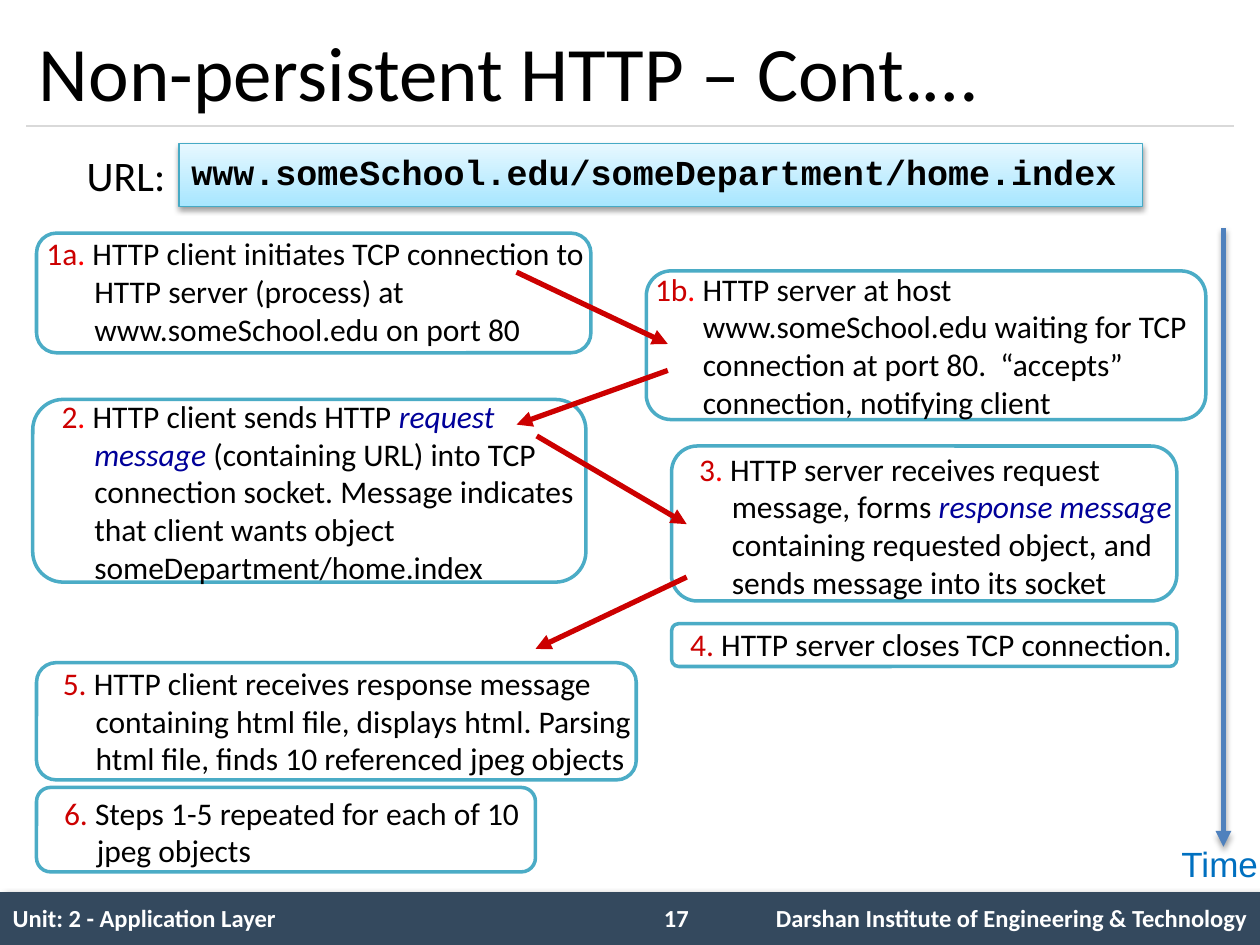
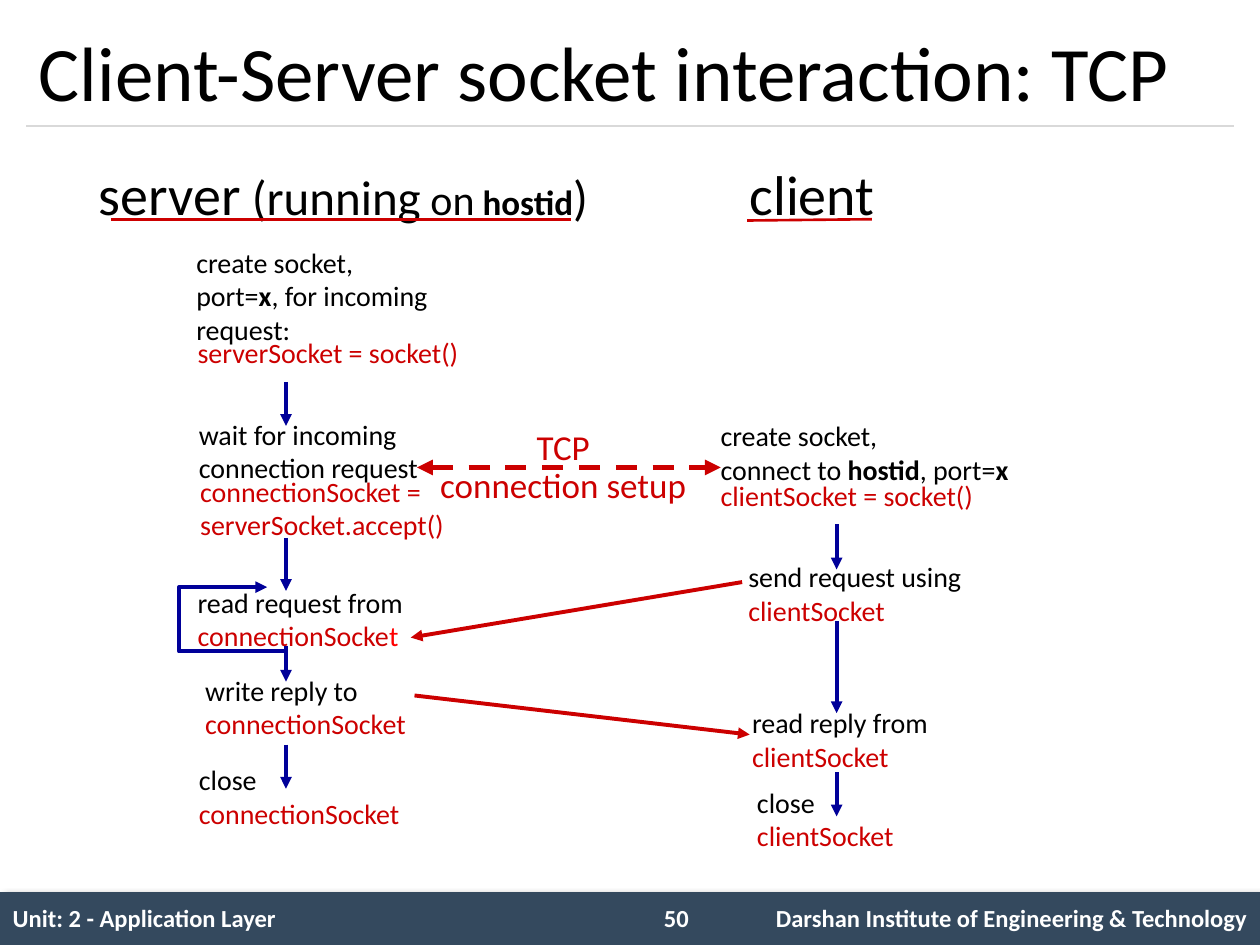
from dataclasses import dataclass

from lxml.etree import SubElement
from pptx import Presentation
from pptx.dml.color import RGBColor
from pptx.enum.dml import MSO_LINE
from pptx.enum.shapes import MSO_CONNECTOR, MSO_SHAPE
from pptx.enum.text import MSO_ANCHOR, PP_ALIGN
from pptx.oxml.ns import qn
from pptx.util import Inches, Pt


@dataclass(frozen=True)
class Theme:
    font: str = "Calibri"
    code: str = "Courier New"
    sans: str = "Arial"
    black: str = "000000"
    white: str = "FFFFFF"
    band: str = "34495E"
    rule: str = "D9D9D9"
    teal: str = "4BACC6"
    edge: str = "46AAC5"
    deep: str = "A7E6FF"
    pale: str = "E7F8FF"
    red: str = "CC0000"
    hot: str = "FF0000"
    navy: str = "000099"
    blue: str = "4F81BD"
    sky: str = "0070C0"
    title: int = 44
    head: int = 32
    mid: int = 28
    url: int = 24
    large: int = 20
    step: int = 18
    node: int = 16
    foot: int = 14


T = Theme()
NO_GRID = "{2D5ABB26-0587-4C30-8999-92F81FD0307C}"
RED = {"color": T.red}
BOLD = {"bold": True}
TERM = {"color": T.navy, "italic": True}


def inch(nums):
    return [Inches(n) for n in nums]


def tint(name):
    return RGBColor.from_string(name)


def style(font, size=None, color=None, face=None, bold=None, italic=None):
    if size:
        font.size = Pt(size)
    if color:
        font.color.rgb = tint(color)
    if face:
        font.name = face
    if bold is not None:
        font.bold = bold
    if italic is not None:
        font.italic = italic


def write(host, *paras, align=PP_ALIGN.LEFT, space=None, left=0, hang=0, **look):
    base = {"size": T.node, "color": T.black, "face": T.font} | look
    frame = host.text_frame
    for i, runs in enumerate(paras):
        para = frame.add_paragraph() if i else frame.paragraphs[0]
        para.alignment = align
        if space:
            para.line_spacing = space
        if left:
            props = para._p.get_or_add_pPr()
            props.set("marL", str(Inches(left)))
            props.set("indent", str(Inches(-hang)))
        for part in [runs] if isinstance(runs, (str, tuple)) else runs:
            text, extra = (part, {}) if isinstance(part, str) else part
            run = para.add_run()
            run.text = text
            style(run.font, **(base | extra))


def label(slide, area, *paras, anchor=MSO_ANCHOR.TOP, **look):
    host = slide.shapes.add_textbox(*inch(area))
    host.text_frame.word_wrap = True
    host.text_frame.vertical_anchor = anchor
    write(host, *paras, **look)


def shade(item, alpha=0, blur=0, dist=0, angle=0):
    props = item.element.spPr
    for old in props.findall(qn("a:effectLst")):
        props.remove(old)
    effect = SubElement(props, qn("a:effectLst"))
    if alpha:
        drop = SubElement(effect, qn("a:outerShdw"), blurRad=str(Pt(blur)),
                          dist=str(Pt(dist)), dir=str(angle * 60000), rotWithShape="0")
        color = SubElement(drop, qn("a:srgbClr"), val=T.black)
        SubElement(color, qn("a:alpha"), val=str(alpha * 1000))


def panel(slide, area, kind, fill, edge=None, width=1):
    item = slide.shapes.add_shape(kind, *inch(area))
    item.fill.solid()
    item.fill.fore_color.rgb = tint(fill)
    if edge:
        item.line.color.rgb = tint(edge)
        item.line.width = Pt(width)
    else:
        item.line.fill.background()
    item.shadow.inherit = False
    return item


def stroke(item, color, width, tips=(), dash=None):
    item.line.color.rgb = tint(color)
    item.line.width = Pt(width)
    if dash:
        item.line.dash_style = dash
    for tip in tips:
        SubElement(item.line._get_or_add_ln(), qn(f"a:{tip}"), type="triangle")
    shade(item)


def line(slide, ends, color, width, tips=("tailEnd",), dash=None):
    item = slide.shapes.add_connector(MSO_CONNECTOR.STRAIGHT, *inch(ends))
    stroke(item, color, width, tips, dash)
    return item


def footer(slide, box, page):
    x, y, w, h = box
    shade(panel(slide, box, MSO_SHAPE.RECTANGLE, T.band), 40, 4, 3, 45)
    frame = slide.shapes.add_table(1, 3, *inch((x, y, w, h + 0.01)))
    next(frame.element.iter(qn("a:tableStyleId"))).text = NO_GRID
    table = frame.table
    table.first_row = table.horz_banding = False
    for col, wide in zip(table.columns, (5.08, 0.67, 4.25)):
        col.width = Inches(wide)
    look = {"size": T.foot, "color": T.white, "bold": True}
    texts = ("Unit: 2 - Application Layer", "", "Darshan Institute of Engineering & Technology")
    sides = (PP_ALIGN.LEFT, PP_ALIGN.LEFT, PP_ALIGN.RIGHT)
    for cell, text, side in zip(table.rows[0].cells, texts, sides):
        cell.fill.background()
        cell.vertical_anchor = MSO_ANCHOR.MIDDLE
        if text:
            write(cell, text, align=side, **look)
    label(slide, (x + 5.17, y + 0.04, 0.58, 0.34), str(page), **look)


def start(deck, title, page):
    slide = deck.slides.add_slide(deck.slide_layouts[6])
    footer(slide, (0, 7.08, 10, 0.42), page)
    line(slide, (0.21, 1, 9.79, 1), T.rule, 0.75, tips=())
    label(slide, (0.21, 0.12, 9.58, 0.88), title, anchor=MSO_ANCHOR.MIDDLE, size=T.title)
    return slide


def address(slide, box):
    x, y, w, h = box
    label(slide, (x, y, 1.3, h), "URL:", size=T.url, left=0.38, space=1.14)
    item = panel(slide, (x + 1.21, y + 0.06, w - 1.21, h - 0.06),
                 MSO_SHAPE.RECTANGLE, T.pale, T.edge, 0.75)
    item.fill.gradient()
    item.fill.gradient_angle = 90
    for stop, color in zip(item.fill.gradient_stops, (T.deep, T.pale)):
        stop.color.rgb = tint(color)
    for stop, place in zip(item.fill.gradient_stops, (0, 1)):
        stop.position = place
    shade(item, 38, 3.1, 1.6, 90)
    item.text_frame.vertical_anchor = MSO_ANCHOR.MIDDLE
    write(item, "www.someSchool.edu/someDepartment/home.index",
          size=T.large, face=T.code, bold=True, space=0.85)


def step(slide, box, shift, wide, hang, num, dot, *runs):
    x, y, w, h = box
    panel(slide, box, MSO_SHAPE.ROUNDED_RECTANGLE, T.white, T.teal, 2)
    label(slide, (x + shift[0], y + shift[1], wide, h + 0.1),
          [(num, RED), (".", {"color": dot}), *runs],
          size=T.step, left=0.38, hang=hang)


def clock(slide, box):
    x, y, w, h = box
    arrow = line(slide, (x + 0.44, y, x + 0.44, y + h - 0.36), T.blue, 3)
    shade(arrow, 35, 3.1, 1.8, 90)
    label(slide, (x, y + h - 0.44, w, 0.44), "Time", align=PP_ALIGN.CENTER,
          size=T.large, color=T.sky, face=T.sans)


def steps(deck):
    slide = start(deck, "Non-persistent HTTP – Cont.…", 17)
    address(slide, (0.21, 1.08, 8.86, 0.56))
    for item in (
        ((0.29, 1.85, 4.4, 0.95), (-0.02, -0.04), 4.87, 0.38, "1a", T.hot,
         " HTTP client initiates TCP connection to HTTP server (process) at "
         "www.someSchool.edu on port 80"),
        ((5.13, 2.15, 4.44, 1.18), (-0.03, -0.06), 4.81, 0.38, "1b", T.hot,
         " HTTP server at host www.someSchool.edu waiting for TCP connection "
         "at port 80.  “accepts” connection, notifying client"),
        ((0.26, 3.17, 4.39, 1.45), (0.01, -0.07), 4.4, 0.26, "2", T.hot,
         " HTTP client sends HTTP ", ("request message ", TERM),
         "(containing URL) into TCP connection socket. Message indicates "
         "that client wants object someDepartment/home.index"),
        ((5.33, 3.54, 4.01, 1.23), (0, -0.02), 4.17, 0.26, "3", T.hot,
         " HTTP server receives request message, forms ", ("response message", TERM),
         " containing requested object, and sends message into its socket"),
        ((5.33, 4.95, 4.01, 0.34), (-0.06, -0.04), 4.73, 0.27, "4", T.red,
         " HTTP server closes TCP connection."),
        ((0.29, 5.26, 4.76, 0.93), (-0.01, -0.04), 5.02, 0.26, "5", T.red,
         " HTTP client receives response message containing html file, "
         "displays html. Parsing html file, finds 10 referenced jpeg objects"),
        ((0.29, 6.25, 3.96, 0.67), (0, 0), 4.17, 0.26, "6", T.red,
         " Steps 1-5 repeated for each of 10 jpeg objects"),
    ):
        step(slide, *item)
    for ends in ((4.1, 2.16, 5.3, 2.73), (5.3, 2.94, 4.1, 3.37),
                 (4.26, 3.46, 5.45, 4.16), (5.45, 4.58, 4.25, 5.15)):
        line(slide, ends, T.red, 3)
    clock(slide, (9.27, 1.81, 0.82, 5.27))


def column(slide, box, nodes, axis, spans):
    x, y = box
    for left, top, w, h, *paras in nodes:
        label(slide, (x + left, y + top, w, h), *paras, anchor=MSO_ANCHOR.MIDDLE)
    for top, end in spans:
        line(slide, (x + axis, y + top, x + axis, y + end), T.navy, 2.25)


def loop(slide, box):
    x, y, w, h = box
    path = [(x + w, y + h - 0.04), (x + w, y + h), (x, y + h), (x, y), (x + 0.7, y)]
    first, *rest = [inch(spot) for spot in path]
    pen = slide.shapes.build_freeform(*first)
    pen.add_line_segments(rest, close=False)
    item = pen.convert_to_shape()
    item.fill.background()
    stroke(item, T.navy, 2.25, ("tailEnd",))


def setup(slide, box):
    x, y, w, h = box
    line(slide, (x, y + 0.35, x + w, y + 0.35), T.red, 3,
         ("headEnd", "tailEnd"), MSO_LINE.DASH)
    label(slide, (x + 0.07, y, 2.18, h), "TCP", "connection setup",
          anchor=MSO_ANCHOR.MIDDLE, align=PP_ALIGN.CENTER, space=0.9,
          size=T.large, color=T.red)


def header(slide, box, under, *runs):
    label(slide, box, list(runs), anchor=MSO_ANCHOR.MIDDLE,
          align=PP_ALIGN.CENTER, size=T.head)
    line(slide, under, T.red, 1.5, tips=())


def sockets(deck):
    slide = start(deck, "Client-Server socket interaction: TCP", 50)
    header(slide, (0.67, 1.21, 4.11, 0.64), (0.88, 1.74, 4.53, 1.74),
           "server", (" (running", {"size": T.mid}), (" on", {"size": T.url}),
           (" ", {"size": T.large}), ("hostid", {"size": T.large} | BOLD),
           (")", {"size": T.mid}))
    header(slide, (5.84, 1.21, 1.21, 0.64), (5.93, 1.75, 6.92, 1.74), "client")
    link = ("connectionSocket", RED)
    peer = ("clientSocket", RED)
    column(slide, (1.4, 1.85), (
        (0.06, 0.04, 2.11, 0.91, "create socket,",
         ["port=", ("x", BOLD), ", for incoming request:"]),
        (0.07, 0.76, 2.57, 0.37, ("serverSocket = socket()", RED)),
        (0.08, 1.41, 1.97, 0.64, "wait for incoming", "connection request"),
        (0.09, 1.86, 2.16, 0.64, ("connectionSocket =", RED),
         ("serverSocket.accept()", RED)),
        (0.07, 2.74, 1.85, 0.64, "read request from",
         [("connectionSocke", RED), ("t", {"color": T.hot})]),
        (0.13, 3.44, 1.82, 0.64, "write reply to", link),
        (0.08, 4.15, 1.82, 0.64, "close", link),
    ), 0.87, ((1.18, 1.53), (2.42, 2.84), (3.29, 3.56), (4.06, 4.41)))
    column(slide, (5.6, 3.25), (
        (0.02, 0.02, 2.55, 0.64, "create socket,",
         ["connect to ", ("hostid", BOLD), ", port=", ("x", BOLD)]),
        (0.02, 0.5, 2.58, 0.37, ("clientSocket = socket()", RED)),
        (0.24, 1.14, 1.91, 0.64, "send request using", peer),
        (0.27, 2.3, 1.62, 0.64, "read reply from", peer),
        (0.31, 2.93, 1.3, 0.64, "close", peer),
    ), 1.04, ((0.91, 1.27), (1.68, 2.41), (2.88, 3.23)))
    loop(slide, (1.42, 4.66, 0.85, 0.51))
    setup(slide, (3.31, 3.36, 2.41, 0.71))
    for ends in ((5.89, 4.62, 3.26, 5.06), (3.29, 5.52, 5.95, 5.83)):
        line(slide, ends, T.red, 2.25)


def main():
    deck = Presentation()
    deck.slide_width, deck.slide_height = inch((10, 7.5))
    steps(deck)
    sockets(deck)
    deck.save("out.pptx")


if __name__ == "__main__":
    main()
